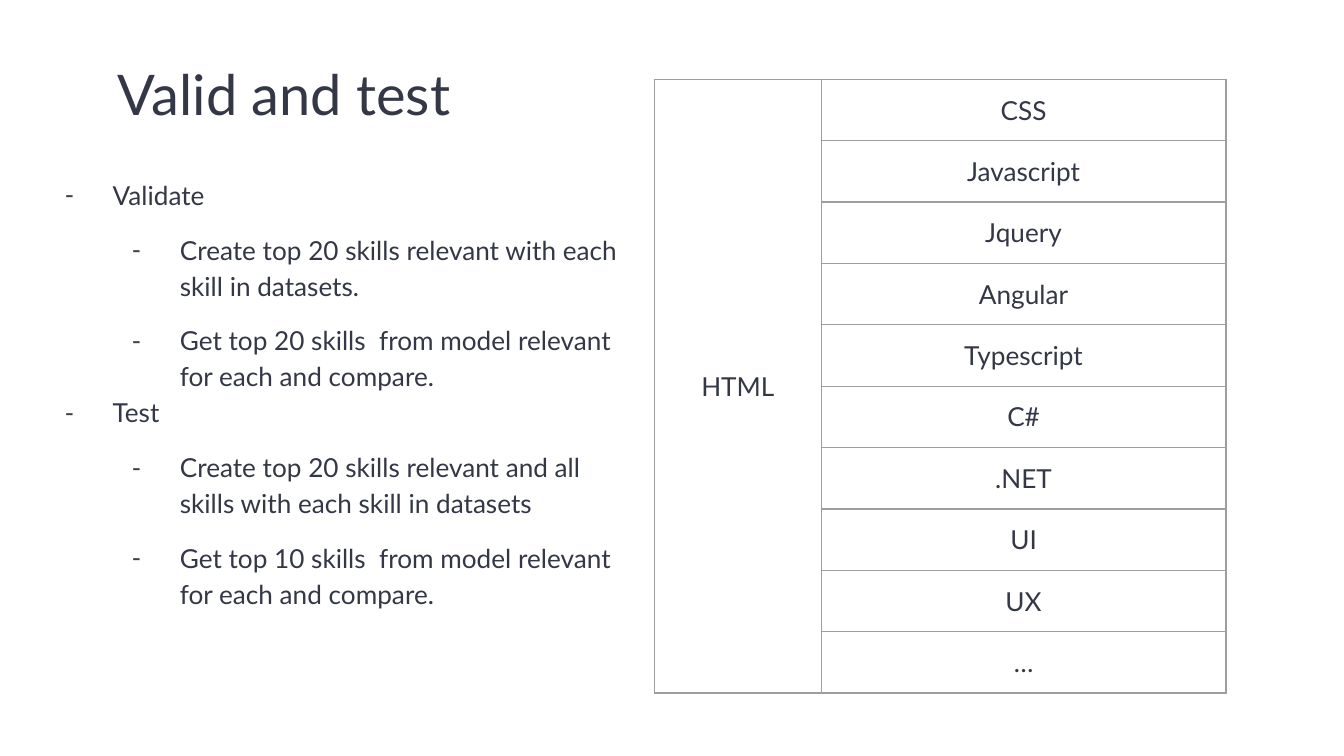
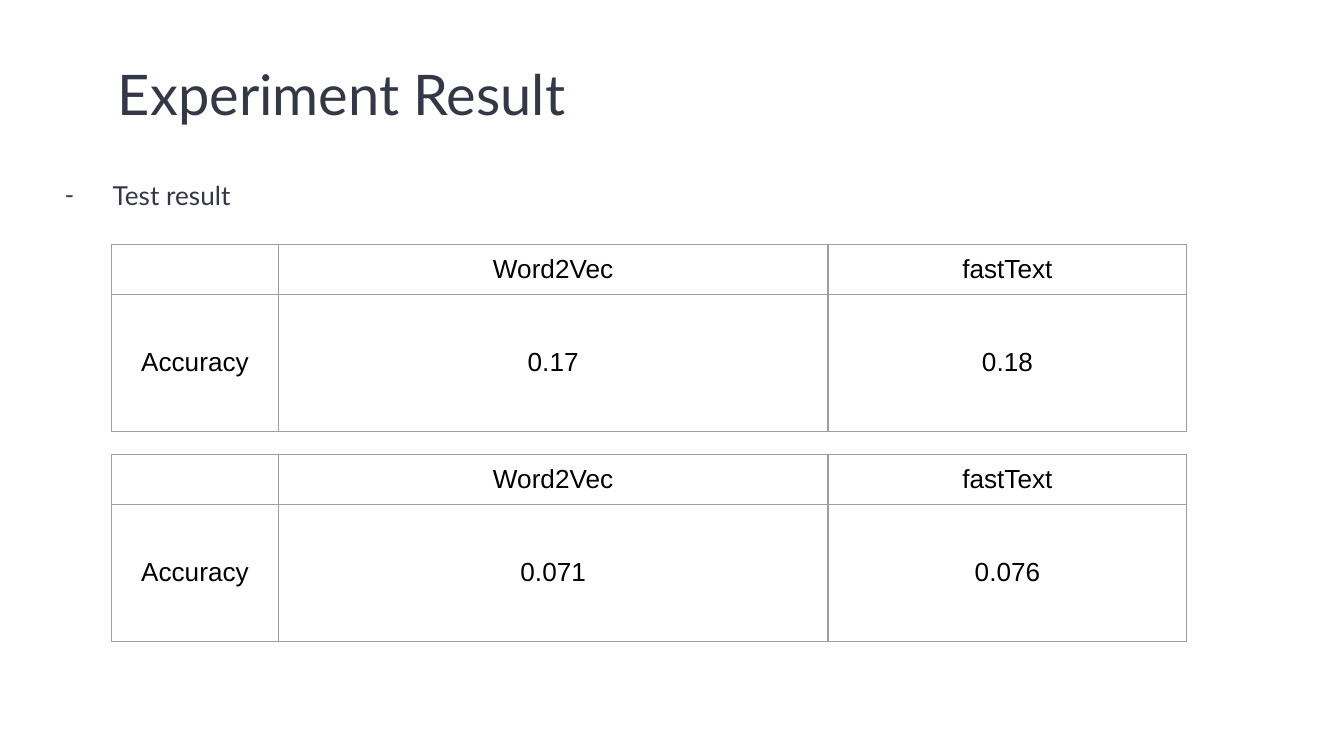
from dataclasses import dataclass

from lxml import etree
from pptx import Presentation
from pptx.dml.color import RGBColor
from pptx.enum.text import MSO_ANCHOR, PP_ALIGN
from pptx.oxml.ns import qn
from pptx.util import Cm, Pt

MIDDLE = MSO_ANCHOR.MIDDLE
TOP = MSO_ANCHOR.TOP
CENTER = PP_ALIGN.CENTER


@dataclass(frozen=True)
class Theme:
    """Colours, fonts, type sizes and spacing shared by the slides."""
    ink: str = "333746"
    bullet: str = "3D4144"
    table_ink: str = "000000"
    border: str = "9E9E9E"
    background: str = "FFFFFF"
    font: str = "Lato"
    table_font: str = "Arial"
    title_size: int = 30
    body_size: int = 14
    border_width: float = 0.75
    line_spacing: float = 1.15
    sub_space: int = 10
    inset: float = 0.25
    indent: float = 1.27
    hanging: float = 0.91


THEME = Theme()


@dataclass(frozen=True)
class Box:
    """A rectangle in centimetres."""
    left: float
    top: float
    width: float
    height: float

    def lengths(self) -> tuple:
        """Return the four sides as lengths."""
        return Cm(self.left), Cm(self.top), Cm(self.width), Cm(self.height)


@dataclass(frozen=True)
class Item:
    """One bulleted line and its level."""
    text: str
    level: int = 0


@dataclass(frozen=True)
class Grid:
    """A bordered table with its place, tracks and text style."""
    left: float
    top: float
    cols: tuple
    rows: tuple
    cells: tuple
    font: str
    color: str
    merge_first_col: bool = False


TITLE_BOX = Box(1.98, 0.69, 21.44, 1.96)

VALID_BOX = Box(0.61, 3.05, 11.35, 10.44)
VALID_ITEMS = (
    Item("Validate"),
    Item("Create top 20 skills relevant with each skill in datasets.", 1),
    Item("Get top 20 skills  from model relevant for each and compare.", 1),
    Item("Test"),
    Item("Create top 20 skills relevant and all skills with each skill in datasets", 1),
    Item("Get top 10 skills  from model relevant for each and compare.", 1),
)
SKILLS = ("CSS", "Javascript", "Jquery", "Angular", "Typescript",
          "C#", ".NET", "UI", "UX", "…")
SKILL_GRID = Grid(
    12.37, 1.5, (3.15, 7.65), (1.16,) * len(SKILLS),
    tuple(("" if i else "HTML", skill) for i, skill in enumerate(SKILLS)),
    THEME.font, THEME.ink, merge_first_col=True)

RESULT_BOX = Box(0.61, 3.05, 12.55, 1.3)
RESULT_ITEMS = (Item("Test result"),)
RESULT_LEFT = 2.11
RESULT_TOP = 4.62
RESULT_STEP = 3.97
RESULT_COLS = (3.15, 10.39, 6.78)
RESULT_ROWS = (0.94, 2.59)
RESULTS = (("0.17", "0.18"), ("0.071", "0.076"))


def add_run(p, text: str, size: int, font: str, color: str) -> None:
    """Add one styled run to a paragraph."""
    r = p.add_run()
    r.text = text
    for name, value in {"size": Pt(size), "name": font}.items():
        setattr(r.font, name, value)
    r.font.color.rgb = RGBColor.from_string(color)


def add_text_frame(s, box: Box):
    """Add a wrapping text box and return its text frame."""
    tf = s.shapes.add_textbox(*box.lengths()).text_frame
    inset = Cm(THEME.inset)
    frame_format = {
        "word_wrap": True, "vertical_anchor": TOP, "margin_left": inset,
        "margin_right": inset, "margin_top": inset, "margin_bottom": inset,
    }
    for name, value in frame_format.items():
        setattr(tf, name, value)
    return tf


def add_bullet(p, level: int) -> None:
    """Give a paragraph a dash and the indent of its level."""
    pPr = p._p.get_or_add_pPr()
    pPr.set("marL", str(Cm(THEME.indent * (level + 1))))
    pPr.set("indent", str(-Cm(THEME.hanging)))
    color = etree.SubElement(pPr, qn("a:buClr"))
    etree.SubElement(color, qn("a:srgbClr"), val=THEME.bullet)
    etree.SubElement(pPr, qn("a:buFont"), typeface=THEME.font)
    etree.SubElement(pPr, qn("a:buChar"), char="-")


def add_title(s, text: str) -> None:
    """Add the slide title."""
    p = add_text_frame(s, TITLE_BOX).paragraphs[0]
    p.line_spacing = THEME.line_spacing
    add_run(p, text, THEME.title_size, THEME.font, THEME.ink)


def add_bullets(s, box: Box, items: tuple) -> None:
    """Add a two-level list of dashed items."""
    tf = add_text_frame(s, box)
    for i, item in enumerate(items):
        p = tf.add_paragraph() if i else tf.paragraphs[0]
        add_bullet(p, item.level)
        p.level = item.level
        p.line_spacing = THEME.line_spacing
        if item.level:
            p.space_before = Pt(THEME.sub_space)
        add_run(p, item.text, THEME.body_size, THEME.font, THEME.ink)


def add_borders(cell) -> None:
    """Draw the four borders of a cell."""
    tcPr = cell._tc.get_or_add_tcPr()
    for side in ("lnL", "lnR", "lnT", "lnB"):
        ln = etree.SubElement(tcPr, qn(f"a:{side}"), w=str(Pt(THEME.border_width)))
        fill = etree.SubElement(ln, qn("a:solidFill"))
        etree.SubElement(fill, qn("a:srgbClr"), val=THEME.border)


def add_grid(s, grid: Grid) -> None:
    """Add a bordered table without fill."""
    box = Box(grid.left, grid.top, sum(grid.cols), sum(grid.rows))
    table = s.shapes.add_table(len(grid.rows), len(grid.cols), *box.lengths()).table
    for name in ("first_row", "horz_banding"):
        setattr(table, name, False)
    for col, width in zip(table.columns, grid.cols):
        col.width = Cm(width)
    for row, height in zip(table.rows, grid.rows):
        row.height = Cm(height)
    cell_format = {"vertical_anchor": MIDDLE, "margin_top": 0, "margin_bottom": 0}
    for i, texts in enumerate(grid.cells):
        for j, text in enumerate(texts):
            cell = table.cell(i, j)
            add_borders(cell)
            cell.fill.background()
            for name, value in cell_format.items():
                setattr(cell, name, value)
            if text:
                p = cell.text_frame.paragraphs[0]
                p.alignment = CENTER
                add_run(p, text, THEME.body_size, grid.font, grid.color)
    if grid.merge_first_col:
        table.cell(0, 0).merge(table.cell(len(grid.rows) - 1, 0))


def add_slide(prs, title: str):
    """Add a blank slide with the shared background and title."""
    s = prs.slides.add_slide(prs.slide_layouts[6])
    s.background.fill.solid()
    s.background.fill.fore_color.rgb = RGBColor.from_string(THEME.background)
    add_title(s, title)
    return s


def build_valid_and_test(prs) -> None:
    """Build the slide on validation and testing."""
    s = add_slide(prs, "Valid and test")
    add_bullets(s, VALID_BOX, VALID_ITEMS)
    add_grid(s, SKILL_GRID)


def build_experiment_result(prs) -> None:
    """Build the slide with the accuracy tables."""
    s = add_slide(prs, "Experiment Result")
    add_bullets(s, RESULT_BOX, RESULT_ITEMS)
    for i, scores in enumerate(RESULTS):
        cells = (("", "Word2Vec", "fastText"), ("Accuracy", *scores))
        add_grid(s, Grid(RESULT_LEFT, RESULT_TOP + i * RESULT_STEP, RESULT_COLS,
                         RESULT_ROWS, cells, THEME.table_font, THEME.table_ink))


def main() -> None:
    """Build and save the presentation."""
    prs = Presentation()
    prs.slide_width, prs.slide_height = Cm(25.4), Cm(14.29)
    build_valid_and_test(prs)
    build_experiment_result(prs)
    prs.save("out.pptx")


if __name__ == "__main__":
    main()
